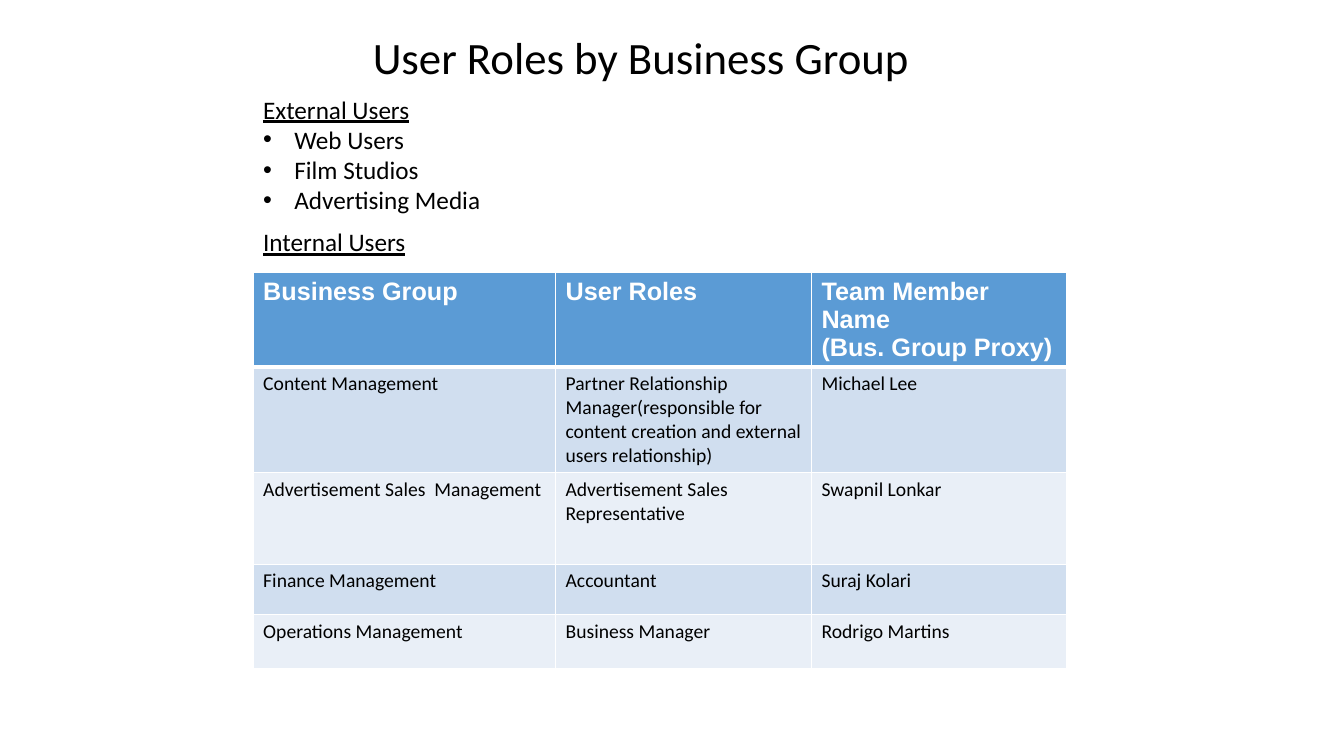
from dataclasses import dataclass

import pptx
import pptx.dml.color
import pptx.enum.text
import pptx.oxml
import pptx.oxml.ns
import pptx.util
from pptx.util import Cm


@dataclass(frozen=True)
class Theme:
    body_font: str = "Calibri"
    header_font: str = "Arial"
    text: str = "000000"
    white: str = "FFFFFF"
    header_fill: str = "5B9BD5"
    band_fills: tuple = ("D0DEEF", "E9EFF7")
    title_size: int = 32
    heading_size: int = 18
    cell_size: int = 14
    thin_line: int = 1
    thick_line: int = 3


THEME = Theme()
LEFT = Cm(6.38)
BULLET_INDENT = Cm(0.79)
COLUMN_WIDTHS = (Cm(7.62), Cm(6.45), Cm(6.43))
ROW_HEIGHTS = (Cm(1.68), Cm(2.49), Cm(2.31), Cm(1.27), Cm(1.37))

EXTERNAL_USERS = ("Web Users", "Film Studios", "Advertising Media")
ROLE_ROWS = (
    ("Business Group", "User Roles", "Team Member Name\n(Bus. Group Proxy)"),
    ("Content Management",
     "Partner Relationship Manager(responsible for content creation and external users relationship)",
     "Michael Lee"),
    ("Advertisement Sales  Management", "Advertisement Sales Representative", "Swapnil Lonkar"),
    ("Finance Management", "Accountant", "Suraj Kolari"),
    ("Operations Management", "Business Manager", "Rodrigo Martins"),
)


def rgb(color):
    return pptx.dml.color.RGBColor.from_string(color)


def format_runs(paragraph, size, font=THEME.body_font, color=THEME.text, bold=False, underline=False):
    for run in paragraph.runs:
        run.font.size = pptx.util.Pt(size)
        run.font.name = font
        run.font.color.rgb = rgb(color)
        run.font.bold = bold
        run.font.underline = underline


def add_bullet(paragraph):
    properties = paragraph._p.get_or_add_pPr()
    properties.set("marL", str(BULLET_INDENT))
    properties.set("indent", str(-BULLET_INDENT))
    namespace = pptx.oxml.ns.nsdecls("a")
    properties.append(pptx.oxml.parse_xml(f'<a:buFont {namespace} typeface="Arial"/>'))
    properties.append(pptx.oxml.parse_xml(f'<a:buChar {namespace} char="•"/>'))


def set_title(slide, text):
    title = slide.shapes.title
    title.left, title.top, title.width, title.height = Cm(9.14), Cm(0.61), Cm(14.15), Cm(1.63)
    frame = title.text_frame
    frame.text = text
    frame.word_wrap = False
    frame.auto_size = pptx.enum.text.MSO_AUTO_SIZE.NONE
    frame.vertical_anchor = pptx.enum.text.MSO_ANCHOR.TOP
    paragraph = frame.paragraphs[0]
    paragraph.alignment = pptx.enum.text.PP_ALIGN.LEFT
    paragraph.line_spacing = 1.0
    paragraph.space_before = pptx.util.Pt(0)
    format_runs(paragraph, THEME.title_size)


def add_user_list(slide, top, width, height, heading, users=()):
    """Add an underlined heading with optional bulleted users below it."""
    frame = slide.shapes.add_textbox(LEFT, top, width, height).text_frame
    frame.word_wrap = True
    frame.text = "\n".join((heading, *users))
    heading_paragraph, *user_paragraphs = frame.paragraphs
    format_runs(heading_paragraph, THEME.heading_size, underline=True)
    for paragraph in user_paragraphs:
        add_bullet(paragraph)
        format_runs(paragraph, THEME.heading_size)


def set_borders(cell, widths):
    """Draw white borders; widths are points for left, right, top and bottom."""
    properties = cell._tc.get_or_add_tcPr()
    for side, width in zip("LRTB", widths):
        properties.append(pptx.oxml.parse_xml(
            f'<a:ln{side} {pptx.oxml.ns.nsdecls("a")} w="{pptx.util.Pt(width)}">'
            f'<a:solidFill><a:srgbClr val="{THEME.white}"/></a:solidFill></a:ln{side}>'))


def fill_cell(cell, text, row_index):
    is_header = row_index == 0
    thin, thick = THEME.thin_line, THEME.thick_line
    set_borders(cell, (thin, thin, thick if row_index == 1 else thin, thick if is_header else thin))
    cell.fill.solid()
    cell.fill.fore_color.rgb = rgb(
        THEME.header_fill if is_header else THEME.band_fills[(row_index - 1) % 2])
    cell.text_frame.text = text
    for paragraph in cell.text_frame.paragraphs:
        if is_header:
            format_runs(paragraph, THEME.heading_size, THEME.header_font, THEME.white, bold=True)
        else:
            format_runs(paragraph, THEME.cell_size)


def add_role_table(slide):
    table = slide.shapes.add_table(
        len(ROLE_ROWS), len(COLUMN_WIDTHS), LEFT, Cm(6.86),
        sum(COLUMN_WIDTHS), sum(ROW_HEIGHTS)).table
    for column, width in zip(table.columns, COLUMN_WIDTHS):
        column.width = width
    for row_index, (row, height) in enumerate(zip(table.rows, ROW_HEIGHTS)):
        row.height = height
        for cell, text in zip(row.cells, ROLE_ROWS[row_index]):
            fill_cell(cell, text, row_index)


def main():
    presentation = pptx.Presentation()
    presentation.slide_width, presentation.slide_height = Cm(33.87), Cm(19.05)
    slide = presentation.slides.add_slide(presentation.slide_layouts.get_by_name("Title Only"))
    set_title(slide, "User Roles by Business Group")
    add_role_table(slide)
    add_user_list(slide, Cm(2.24), Cm(6.05), Cm(3.33), "External Users", EXTERNAL_USERS)
    add_user_list(slide, Cm(5.59), Cm(4.14), Cm(1.02), "Internal Users")
    presentation.save("out.pptx")


if __name__ == "__main__":
    main()
